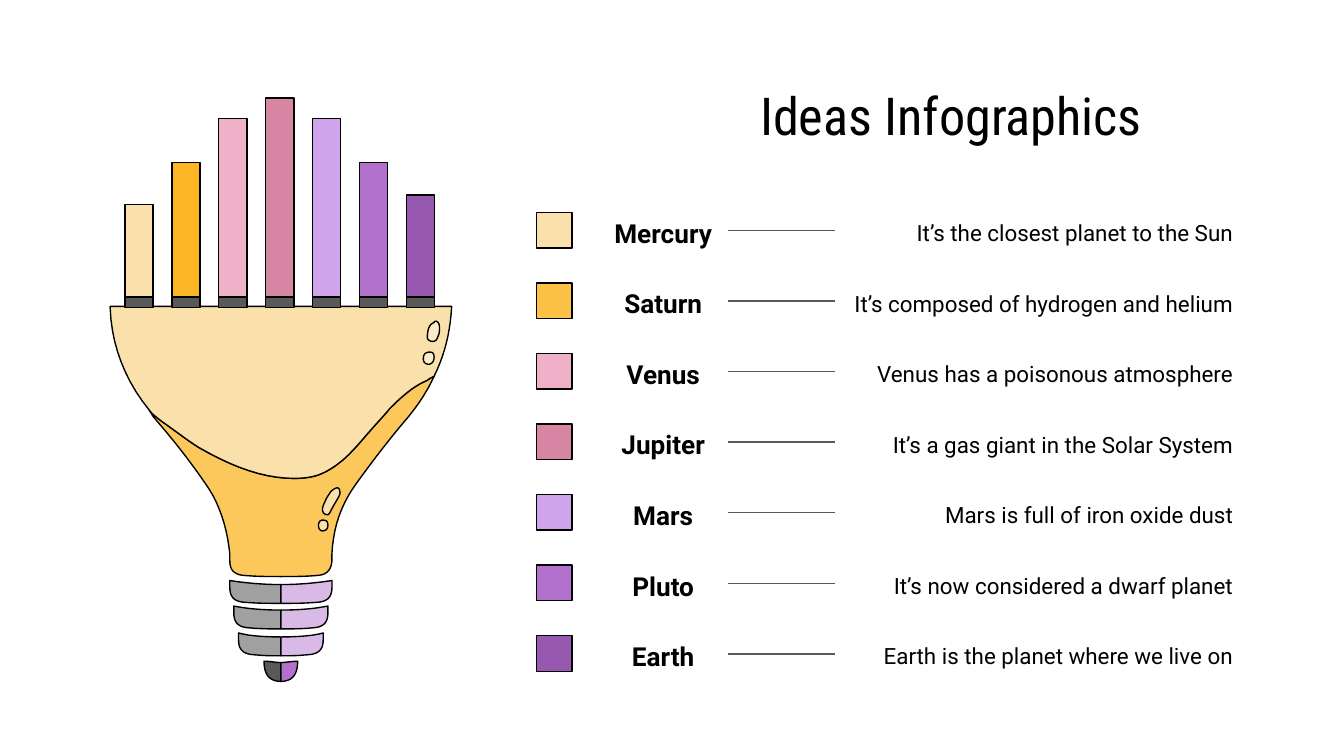
import pptx
import pptx.dml.color
import pptx.enum.shapes
import pptx.enum.text
import pptx.oxml
import pptx.oxml.ns
import pptx.util

RGB = pptx.dml.color.RGBColor
ALIGN = pptx.enum.text.PP_ALIGN
RECTANGLE = pptx.enum.shapes.MSO_SHAPE.RECTANGLE

BLACK = RGB(0x00, 0x00, 0x00)
CHARCOAL = RGB(0x59, 0x59, 0x59)
GREY = RGB(0xA0, 0xA0, 0xA0)
CREAM = RGB(0xFA, 0xE0, 0xAA)
PALE_CREAM = RGB(0xFC, 0xEB, 0xC9)
AMBER = RGB(0xFC, 0xB5, 0x24)
YELLOW = RGB(0xFC, 0xC1, 0x47)
HONEY = RGB(0xFD, 0xC8, 0x5B)
PINK = RGB(0xEE, 0xB1, 0xC7)
ROSE = RGB(0xD6, 0x86, 0xA3)
LAVENDER = RGB(0xD0, 0xA4, 0xEB)
PALE_LILAC = RGB(0xD9, 0xB9, 0xE6)
VIOLET = RGB(0xB2, 0x71, 0xCC)
PURPLE = RGB(0x97, 0x59, 0xB0)

deck = pptx.Presentation()
deck.slide_width = pptx.util.Inches(10)
deck.slide_height = deck.slide_width * 9 // 16
page = deck.slides.add_slide(deck.slide_layouts[6])

# Square grid: 100 columns across the slide, rows of the same size.
CELL = deck.slide_width // 100
THIN = pptx.util.Pt(0.75)
CURVE_STEPS = 10


def add_text(text, left, top, width, height, size, font="Roboto",
             bold=False, align=ALIGN.CENTER, spacing=1.15):
    box = page.shapes.add_textbox(*(round(v * CELL) for v in (left, top, width, height)))
    frame = box.text_frame
    frame.word_wrap = True
    frame.vertical_anchor = pptx.enum.text.MSO_ANCHOR.MIDDLE
    frame.margin_left = frame.margin_right = CELL
    frame.margin_top = frame.margin_bottom = CELL
    para = frame.paragraphs[0]
    para.alignment = align
    para.line_spacing = spacing
    span = para.add_run()
    span.text = text
    span.font.name = font
    span.font.size = pptx.util.Pt(size)
    span.font.bold = bold
    span.font.color.rgb = BLACK


def add_outline(fill, *contours):
    """Draw closed contours; a step is a point (x, y) or a Bézier (x1, y1, x2, y2, x, y)."""
    builder = None
    for contour in contours:
        points = [contour[0]]
        for step in contour[1:]:
            if len(step) == 2:
                points.append(step)
                continue
            x0, y0 = points[-1]
            x1, y1, x2, y2, x3, y3 = step
            for k in range(1, CURVE_STEPS + 1):
                t = k / CURVE_STEPS
                u = 1 - t
                a, b, c, d = u ** 3, 3 * u * u * t, 3 * u * t * t, t ** 3
                points.append((a * x0 + b * x1 + c * x2 + d * x3,
                               a * y0 + b * y1 + c * y2 + d * y3))
        points = [(round(x * CELL), round(y * CELL)) for x, y in points]
        if builder is None:
            builder = page.shapes.build_freeform(*points[0])
        else:
            builder.move_to(*points[0])
        builder.add_line_segments(points[1:], close=True)
    shape = builder.convert_to_shape()
    shape.shadow.inherit = False
    shape.fill.solid()
    shape.fill.fore_color.rgb = fill
    shape.line.color.rgb = BLACK
    shape.line.width = THIN


add_text("Ideas Infographics", 48.7, 5.9, 44.1, 5.3, 28, font="Roboto Condensed", spacing=1)

# Bulb: the wave is the edge that the glass and the liquid share.
wave = [
    (32.3, 28), (32.1, 28.1, 31.9, 28.2, 31.8, 28.3), (30.8, 28.7, 29.9, 29.5, 29, 30.4),
    (28.7, 30.8, 28, 31.5, 26.9, 32.8), (26.2, 33.6, 25.7, 34.1, 25.3, 34.4),
    (24.8, 34.8, 24.3, 35.1, 23.8, 35.3), (23.3, 35.5, 22.6, 35.6, 21.9, 35.6),
    (19.7, 35.6, 17.4, 34.8, 14.8, 33.3), (14, 32.8, 13.1, 32.1, 12.1, 31.4),
    (11.7, 31.1, 11.3, 30.8, 11.1, 30.5),
]
neck = [
    (11.2, 30.7, 11.3, 30.8, 11.4, 31), (12.7, 32.5, 14, 34.1, 15.3, 36),
    (16.3, 37.4, 16.9, 39.2, 17.1, 41.2), (17.1, 41.4, 17.1, 41.5, 17.1, 41.7),
    (17.1, 42.4, 17.4, 42.7, 18, 42.8), (19, 42.9, 19.9, 42.9, 20.9, 42.9),
    (21.9, 42.9, 22.8, 42.9, 23.8, 42.8), (24.4, 42.7, 24.7, 42.3, 24.7, 41.6),
    (24.7, 41.5, 24.7, 41.3, 24.7, 41.2), (24.8, 39.2, 25.4, 37.5, 26.5, 36),
    (27.8, 34.2, 29.1, 32.5, 30.4, 31), (31.2, 30, 31.8, 29.1, 32.3, 28),
]
bowl = [
    (9.3, 28.3, 8.3, 25.7, 8.2, 22.9), (8.2, 22.8), (33.6, 22.8), (33.6, 22.9),
    (33.5, 24.7, 33.1, 26.4, 32.3, 28),
]

BAR_LEFT, BAR_PITCH, BAR_WIDTH, BAR_BOTTOM = 9.3, 3.49, 2.1, 22.1
bars = [(15.2, CREAM), (12.1, AMBER), (8.8, PINK), (7.3, ROSE),
        (8.8, LAVENDER), (12.1, VIOLET), (14.5, PURPLE)]
blocks = [(BAR_LEFT + i * BAR_PITCH, top, BAR_WIDTH, BAR_BOTTOM - top, color)
          for i, (top, color) in enumerate(bars)]
bases = [(left, BAR_BOTTOM, width, 0.8, CHARCOAL) for left, _, width, _, _ in blocks]

add_outline(HONEY, wave + neck)
add_outline(CREAM, wave + bowl)

# Legend rows
ROW_PITCH, SWATCH = 5.25, 2.65
planets = [
    ("Mercury", "It’s the closest planet to the Sun", CREAM),
    ("Saturn", "It’s composed of hydrogen and helium", YELLOW),
    ("Venus", "Venus has a poisonous atmosphere", PINK),
    ("Jupiter", "It’s a gas giant in the Solar System", ROSE),
    ("Mars", "Mars is full of iron oxide dust", LAVENDER),
    ("Pluto", "It’s now considered a dwarf planet", VIOLET),
    ("Earth", "Earth is the planet where we live on", PURPLE),
]
swatches = [(39.9, 15.8 + i * ROW_PITCH, SWATCH, SWATCH, color)
            for i, (_, _, color) in enumerate(planets)]

for *bounds, color in bases + blocks + swatches:
    block = page.shapes.add_shape(RECTANGLE, *(round(v * CELL) for v in bounds))
    block.shadow.inherit = False
    block.fill.solid()
    block.fill.fore_color.rgb = color
    block.line.color.rgb = BLACK
    block.line.width = THIN

for i, (name, fact, _) in enumerate(planets):
    top = 14.4 + i * ROW_PITCH
    add_text(name, 44.5, top, 9.7, 5.5, 14, bold=True)
    add_text(fact, 62.15, top, 30.6, 5.5, 12, align=ALIGN.RIGHT)
    y = round((top + 2.75) * CELL)
    rule = page.shapes.add_connector(pptx.enum.shapes.MSO_CONNECTOR.STRAIGHT,
                                     round(54.2 * CELL), y, round(62.15 * CELL), y)
    rule.line.color.rgb = CHARCOAL
    rule.line.width = THIN
    properties = rule._element.spPr
    properties.append(pptx.oxml.parse_xml(
        "<a:effectLst %s/>" % pptx.oxml.ns.nsdecls("a")))

# Highlights on the glass and on the liquid
add_outline(
    PALE_CREAM,
    [(32.4, 23.9), (32.4, 23.9, 32.3, 23.9, 32.3, 24), (32, 24.1, 31.8, 24.4, 31.8, 25.1),
     (31.8, 25.3, 32, 25.4, 32.2, 25.4), (32.4, 25.4, 32.5, 25.3, 32.6, 25),
     (32.7, 24.8, 32.7, 24.6, 32.7, 24.4), (32.7, 24.1, 32.6, 23.9, 32.4, 23.9)],
    [(32, 26.2), (31.6, 26.2, 31.5, 26.4, 31.5, 26.7), (31.5, 27, 31.7, 27.1, 31.9, 27.1),
     (32.1, 27.1, 32.3, 26.9, 32.3, 26.6), (32.3, 26.3, 32.2, 26.2, 32, 26.2)])
add_outline(
    CREAM,
    [(25.1, 36.3), (25, 36.3, 24.8, 36.4, 24.6, 36.6), (24.5, 36.8, 24.3, 37, 24.2, 37.3),
     (24.1, 37.5, 24, 37.7, 24, 37.9), (24, 38.2, 24.2, 38.3, 24.4, 38.3),
     (24.5, 38.3, 24.6, 38, 24.9, 37.5), (25.2, 37, 25.3, 36.8, 25.3, 36.7),
     (25.3, 36.4, 25.2, 36.3, 25.1, 36.3)],
    [(24, 38.7), (23.8, 38.7, 23.7, 38.9, 23.7, 39.1), (23.7, 39.3, 23.8, 39.5, 24, 39.5),
     (24.3, 39.5, 24.4, 39.3, 24.4, 39.1), (24.4, 38.8, 24.3, 38.7, 24, 38.7)])

# Screw base: the halves mirror each other about the axis of the bulb.
AXIS = 20.9
rings = [(3.8, 43.2), (3.5, 45.1), (3.15, 47.1)]
for side, ring_color, tip_color in ((-1, GREY, CHARCOAL), (1, PALE_LILAC, VIOLET)):
    halves = []
    for reach, top in rings:
        edge, corner = AXIS + side * reach, AXIS + side * (reach - 0.9)
        bend, inner = AXIS + side * (reach - 0.3), AXIS + side
        halves.append([
            (edge, top), (edge, top + 0.2, edge, top + 0.4, edge, top + 0.5),
            (edge, top + 1.2, bend, top + 1.5, corner, top + 1.6),
            (corner - side, top + 1.7, inner, top + 1.7, AXIS, top + 1.7),
            (AXIS, top + 0.3),
            (AXIS + side * 1.3, top + 0.3, AXIS + side * 2.5, top + 0.2, edge, top)])
    add_outline(ring_color, *halves)
    edge = AXIS + side * 1.25
    add_outline(tip_color, [
        (edge, 49.2), (edge, 50.2, AXIS + side * 0.85, 50.7, AXIS, 50.7), (AXIS, 49.3),
        (AXIS + side * 0.4, 49.3, AXIS + side * 0.8, 49.2, edge, 49.2)])

deck.save("out.pptx")
